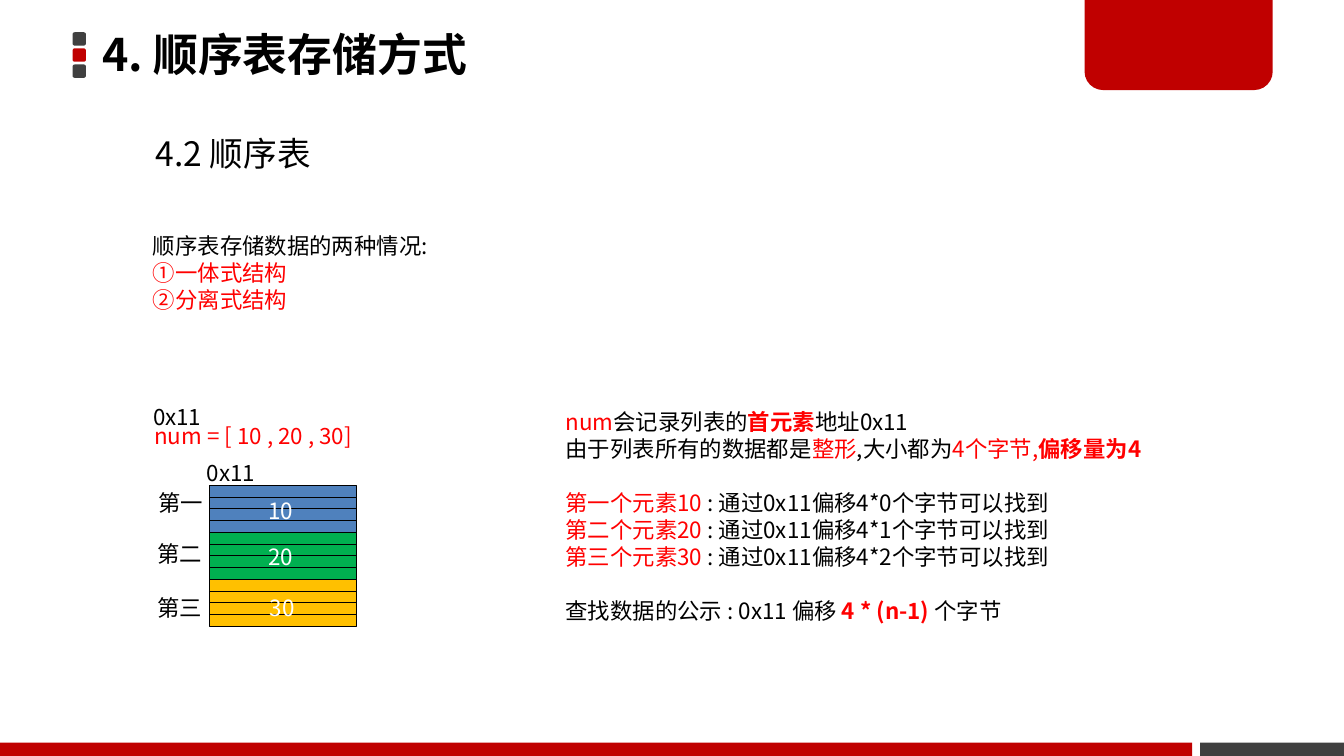
from lxml import etree
from pptx import Presentation
from pptx import util as u
from pptx.dml.color import RGBColor
from pptx.enum import shapes, text
from pptx.oxml.ns import qn

WIDTH = 10
HEIGHT = WIDTH * 9 / 16
FONT = "Noto Sans CJK SC"
BLACK, WHITE, RED = "000000", "FFFFFF", "FF0000"
BRAND, GREY = "C00000", "404040"
BLANK_LINE = 14.5

# A paragraph is a list of runs: (words, colour, bold)
TITLE = "4. 顺序表存储方式"
SECTION = "4.2 顺序表"
STRUCTURES = [
    [("顺序表存储数据的两种情况:", BLACK, False)],
    [("①一体式结构", RED, False)],
    [("②分离式结构", RED, False)],
]
ADDRESS = "0x11"
LIST_CODE = "num = [ 10 , 20 , 30]"
# Label, value, fill, then the (left, top) of the label and of the value
ELEMENTS = [
    ("第一", "10", "4F81BD", (1.08, 3.59), (1.9, 3.65)),
    ("第二", "20", "00B050", (1.07, 3.97), (1.9, 3.99)),
    ("第三", "30", "FFC000", (1.07, 4.37), (1.91, 4.37)),
]
BYTES_EACH = 4

RECORD = [
    [("num", RED, False), ("会记录列表的", BLACK, False),
     ("首元素", RED, True), ("地址0x11", BLACK, False)],
    [("由于列表所有的数据都是", BLACK, False), ("整形", RED, False),
     (",大小都为", BLACK, False), ("4个字节,", RED, False), ("偏移量为4", RED, True)],
]
LOOKUPS = [
    [(f"{label}个元素{value} ", RED, False),
     (f": 通过0x11偏移4*{index}个字节可以找到", BLACK, False)]
    for index, (label, value, *_) in enumerate(ELEMENTS)
]
FORMULA = [("查找数据的公示 : 0x11 偏移 ", BLACK, False),
           ("4 * (n-1) ", RED, True), ("个字节", BLACK, False)]
EXPLANATION = RECORD + LOOKUPS + [FORMULA]
GAPS_BEFORE = {len(RECORD): BLANK_LINE, len(RECORD + LOOKUPS): BLANK_LINE}

deck = Presentation()
deck.slide_width, deck.slide_height = u.Inches(WIDTH), u.Inches(HEIGHT)
slide = deck.slides.add_slide(deck.slide_layouts[6])


def rgb(colour):
    return RGBColor.from_string(colour)


def add_block(left, top, width, height, fill, kind="RECTANGLE", adjust=(), outline=None):
    block = slide.shapes.add_shape(
        shapes.MSO_SHAPE[kind], *map(u.Inches, (left, top, width, height)))
    block.shadow.inherit = False
    block.fill.solid()
    block.fill.fore_color.rgb = rgb(fill)
    for index, value in enumerate(adjust):
        block.adjustments[index] = value
    if outline:
        block.line.color.rgb = rgb(outline)
        block.line.width = u.Pt(0.25)
    else:
        block.line.fill.background()


def add_text(content, left, top, width, height, size=12, colour=BLACK, bold=False,
             middle=False, inset=(0.1, 0.05), line_spacing=None, gaps=None):
    """Place a string, or a list of paragraphs made of runs."""
    frame = slide.shapes.add_textbox(
        *map(u.Inches, (left, top, width, height))).text_frame
    frame.word_wrap = True
    frame.margin_left = frame.margin_right = u.Inches(inset[0])
    frame.margin_top = frame.margin_bottom = u.Inches(inset[1])
    frame.vertical_anchor = text.MSO_ANCHOR.MIDDLE if middle else text.MSO_ANCHOR.TOP
    paragraphs = [[(content, colour, bold)]] if isinstance(content, str) else content
    for index, runs in enumerate(paragraphs):
        paragraph = frame.add_paragraph() if index else frame.paragraphs[0]
        # Punctuation stays inside the box instead of hanging past its edge
        paragraph._p.get_or_add_pPr().set("hangingPunct", "0")
        if line_spacing:
            paragraph.line_spacing = line_spacing
        if gaps and index in gaps:
            paragraph.space_before = u.Pt(gaps[index])
        for words, run_colour, run_bold in runs:
            run = paragraph.add_run()
            run.text = words
            run.font.size, run.font.bold = u.Pt(size), run_bold
            run.font.color.rgb = rgb(run_colour)
            run.font.name = FONT
            east_asian = etree.SubElement(run.font._element, qn("a:ea"))
            east_asian.set("typeface", FONT)


# Frame of the slide
for row, fill in enumerate((GREY, BRAND, GREY)):
    add_block(0.54, 0.24 + row * 0.12, 0.1, 0.1, fill, "ROUNDED_RECTANGLE", (0.167,))
add_block(8.07, -0.02, 1.4, 0.69, BRAND, "ROUND_2_SAME_RECTANGLE", (0, 0.2))
FOOTER = 0.1
for left, right, fill in ((0, 8.87, BRAND), (8.93, WIDTH, GREY)):
    add_block(left, HEIGHT - FOOTER, right - left, FOOTER, fill)

# Headings
add_text(TITLE, 0.69, -0.02, 5.89, 0.89, size=24, bold=True, middle=True,
         inset=(0.07, 0.04), line_spacing=0.9)
add_text(SECTION, 1.06, 0.94, 1.39, 0.71, size=18)
add_text(STRUCTURES, 1.04, 1.68, 2.26, 0.71)

# Memory diagram: one strip per byte, four strips per element
MEMORY_LEFT, MEMORY_TOP, MEMORY_WIDTH, MEMORY_HEIGHT = 1.56, 3.61, 1.09, 1.05
LABEL_HEIGHT = 0.3
byte_height = MEMORY_HEIGHT / (len(ELEMENTS) * BYTES_EACH)
add_text(LIST_CODE, 1.05, 3.09, 1.82, LABEL_HEIGHT, colour=RED)
for left, top in ((1.04, 2.95), (1.44, 3.37)):
    add_text(ADDRESS, left, top, 0.58, LABEL_HEIGHT)
for index, (label, value, fill, label_at, value_at) in enumerate(ELEMENTS):
    for byte in range(BYTES_EACH):
        strip_top = MEMORY_TOP + (index * BYTES_EACH + byte) * byte_height
        add_block(MEMORY_LEFT, strip_top, MEMORY_WIDTH, byte_height, fill, outline=BLACK)
    add_text(value, *value_at, 0.4, LABEL_HEIGHT, colour=WHITE)
    add_text(label, *label_at, 0.55, LABEL_HEIGHT)

add_text(EXPLANATION, 4.11, 2.99, 4.52, 1.92, gaps=GAPS_BEFORE)

deck.save("out.pptx")
